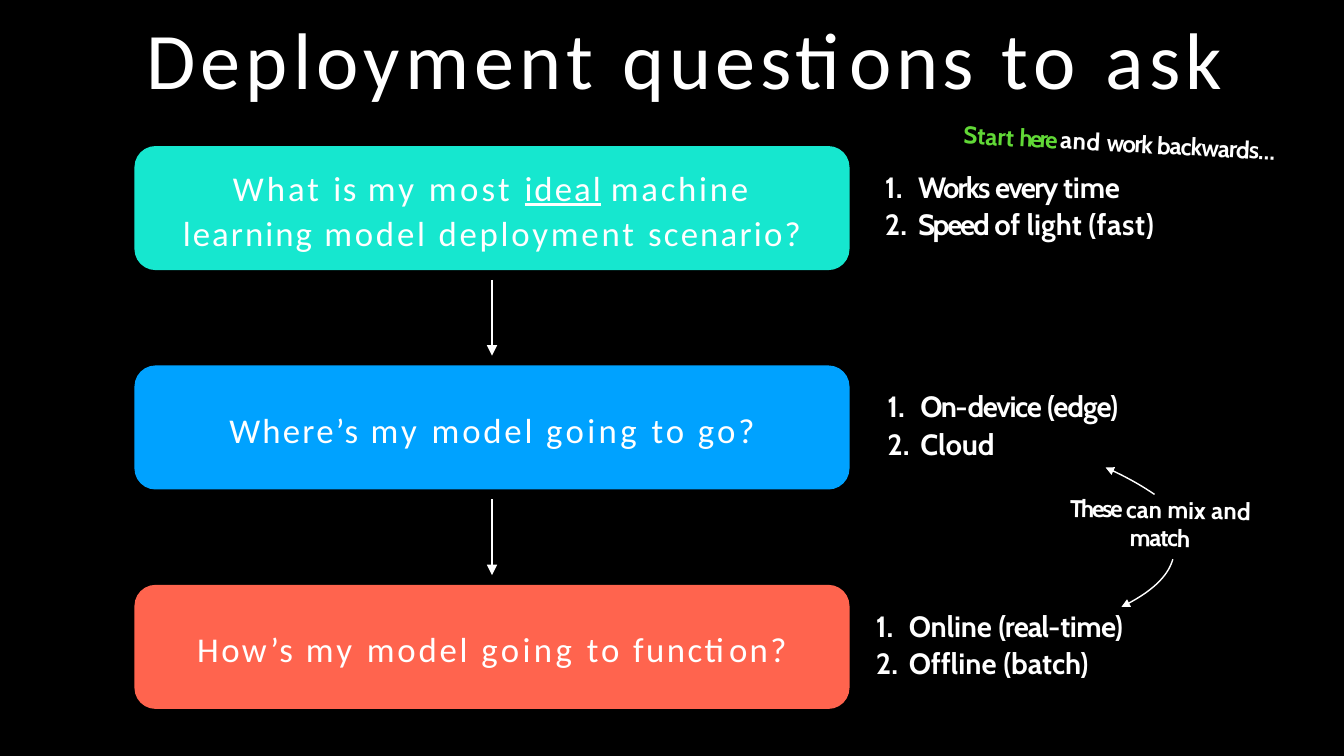
from dataclasses import dataclass

from lxml.etree import SubElement
from pptx import Presentation
from pptx.dml.color import RGBColor
from pptx.enum.shapes import MSO_CONNECTOR, MSO_SHAPE
from pptx.enum.text import MSO_ANCHOR, MSO_AUTO_SIZE, PP_ALIGN
from pptx.oxml.ns import qn
from pptx.util import Inches, Pt


@dataclass(frozen=True)
class Theme:
    black: RGBColor = RGBColor.from_string("000000")
    white: RGBColor = RGBColor.from_string("FFFFFF")
    teal: RGBColor = RGBColor.from_string("16E7CF")
    blue: RGBColor = RGBColor.from_string("00A2FF")
    coral: RGBColor = RGBColor.from_string("FF644E")
    green: RGBColor = RGBColor.from_string("61D836")
    title: Pt = Pt(94.5)
    question: Pt = Pt(41)
    answer: Pt = Pt(34.5)
    note: Pt = Pt(28.5)
    main_font: str = "Calibri"
    hand_font: str = "Cabin"


T = Theme()


def add_runs(p, runs, size, name, bold=False):
    """Write (text, letter spacing in points, optional font changes) runs into p."""
    for text, spacing, *changes in runs:
        r = p.add_run()
        r.text = text
        fmt = dict(size=size, name=name, bold=bold, color=T.white)
        for change in changes:
            fmt.update(change)
        r.font.fill.solid()
        r.font.fill.fore_color.rgb = fmt.pop("color")
        for key, value in fmt.items():
            setattr(r.font, key, value)
        r._r.get_or_add_rPr().set("spc", str(round(spacing * 100)))


def style_arrow(sp, width):
    """White line with a large triangle at its end and no shadow."""
    sp.line.color.rgb = T.white
    sp.line.width = Pt(width)
    SubElement(sp.line._get_or_add_ln(), qn("a:tailEnd"), type="triangle", w="lg", len="lg")
    SubElement(sp._element.spPr, qn("a:effectLst"))


prs = Presentation()
prs.slide_width, prs.slide_height = Inches(21.99), Inches(12.37)
s = prs.slides.add_slide(prs.slide_layouts.get_by_name("Comparison"))
s.background.fill.solid()
s.background.fill.fore_color.rgb = T.black

frame = dict(margin_left=0, margin_right=0, margin_top=0, margin_bottom=0,
             word_wrap=True, auto_size=MSO_AUTO_SIZE.NONE, vertical_anchor=MSO_ANCHOR.TOP)

# Title
title, *lists, spare = s.placeholders
spare._element.getparent().remove(spare._element)
title.left, title.top, title.width, title.height = map(Inches, (2.39, 0.15, 18.87, 1.6))
for key, value in frame.items():
    setattr(title.text_frame, key, value)
p = title.text_frame.paragraphs[0]
p.alignment = PP_ALIGN.LEFT
add_runs(p, [("Deployment ", 6.2), ("questions ", 5.3), ("to ", 6.8), ("ask", 6.2)],
         T.title, T.main_font)

# Questions, each with its numbered answers
steps = [
    (T.teal,
     [("What ", 3.6), ("is ", 2), ("my ", 4), ("most ", 3.9),
      ("ideal", 2.4, dict(underline=True)), (" ", -0.5), ("machine ", 3.2),
      ("learning ", 2.4), ("model deployment ", 3.3), ("scenario?", 2.6)],
     14.47,
     [[("Works ", -2.2), ("every ", -2), ("time", -0.2)],
      [("Speed ", -2.5), ("of ", -0.3), ("light ", 0), ("(fast)", 0.7)]]),
    (T.blue,
     [("Where’s ", 2.6), ("my ", 4), ("model ", 3.3), ("going ", 4), ("to go?", 3.5)],
     14.51,
     [[("On-", -1.9), ("device ", -1.6), ("(edge)", -1.2)],
      [("Cloud", -0.1)]]),
    (T.coral,
     [("How’s ", 2.9), ("my ", 4), ("model ", 3.3), ("going ", 4), ("to ", 3.5),
      ("function?", 2.8)],
     14.32,
     [[("Online ", -0.2), ("(real-", -1.1), ("time)", -0.7)],
      [("Offline ", 0), ("(batch)", -0.1)]]),
]
box_left, box_top, box_width, box_height, pitch = 2.2, 2.39, 11.7, 2.03, 3.59

for i, (color, question, answer_left, answers) in enumerate(steps):
    top = box_top + i * pitch
    box = s.shapes.add_shape(MSO_SHAPE.ROUNDED_RECTANGLE, Inches(box_left), Inches(top),
                             Inches(box_width), Inches(box_height))
    box.adjustments[0] = 0.17
    box.shadow.inherit = False
    box.fill.solid()
    box.fill.fore_color.rgb = color
    box.line.fill.background()
    tf = box.text_frame
    tf.word_wrap = True
    tf.margin_left = tf.margin_right = Inches(0.4)
    tf.vertical_anchor = MSO_ANCHOR.MIDDLE
    p = tf.paragraphs[0]
    p.alignment = PP_ALIGN.CENTER
    p.line_spacing = 1.09
    add_runs(p, question, T.question, T.main_font)

    answer = lists[i]
    answer.left, answer.top, answer.width, answer.height = map(
        Inches, (answer_left, top + 0.38, 4.82, 1.24))
    tf = answer.text_frame
    for key, value in frame.items():
        setattr(tf, key, value)
    for n, runs in enumerate(answers):
        p = tf.add_paragraph() if n else tf.paragraphs[0]
        pPr = p._p.get_or_add_pPr()
        pPr.set("marL", str(Inches(0.55)))
        pPr.set("indent", str(-Inches(0.54)))
        SubElement(pPr, qn("a:buFontTx"))
        SubElement(pPr, qn("a:buAutoNum"), type="arabicPeriod")
        p.space_before = Pt(2.3 if n else 0)
        add_runs(p, runs, T.answer, T.hand_font, bold=True)

    if i:
        x = Inches(box_left + box_width / 2)
        arrow = s.shapes.add_connector(MSO_CONNECTOR.STRAIGHT, x, Inches(top - 1.4),
                                       x, Inches(top - 0.16))
        style_arrow(arrow, 2.47)

# Tilted notes
notes = [
    ((15.76, 2.24, 5.79, 0.4), 3, PP_ALIGN.LEFT, 24.9,
     [("Start ", 0, dict(color=T.green)), ("here ", -3.2, dict(color=T.green)),
      ("and ", 0.6), ("work ", -1.8), ("backwards…", -1.1)]),
    ((17.33, 8.11, 3.31, 0.92), 1, PP_ALIGN.CENTER, 33,
     [("These ", -2.6), ("can ", 0), ("mix ", -0.1), ("and ", 0.3), ("match", -1.4)]),
]
for place, angle, align, leading, runs in notes:
    note = s.shapes.add_textbox(*map(Inches, place))
    note.rotation = angle
    for key, value in frame.items():
        setattr(note.text_frame, key, value)
    p = note.text_frame.paragraphs[0]
    p.alignment = align
    p.line_spacing = Pt(leading)
    add_runs(p, runs, T.note, T.hand_font, bold=True)

# Curved arrows from the second note: start, bend and tip of a quadratic curve
curves = [((19.19, 9.15), (19.07, 9.58), (18.35, 9.93)),
          ((18.89, 8.09), (18.54, 7.85), (18.09, 7.65))]
segments = 16
for start, bend, tip in curves:
    points = []
    for k in range(segments + 1):
        t = k / segments
        points.append([Inches((1 - t) ** 2 * a + 2 * t * (1 - t) * b + t ** 2 * c)
                       for a, b, c in zip(start, bend, tip)])
    builder = s.shapes.build_freeform(*points[0])
    builder.add_line_segments(points[1:], close=False)
    curve = builder.convert_to_shape()
    curve.fill.background()
    style_arrow(curve, 1.65)

prs.save("out.pptx")
